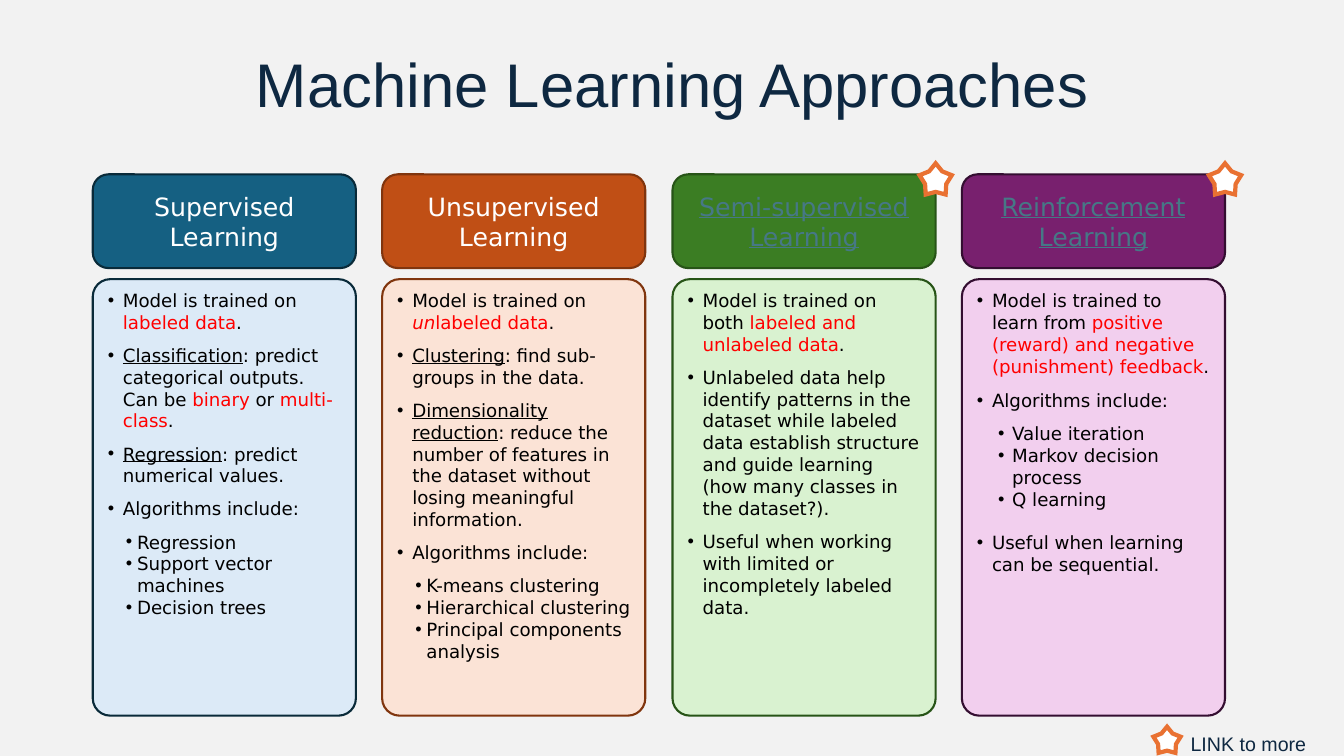
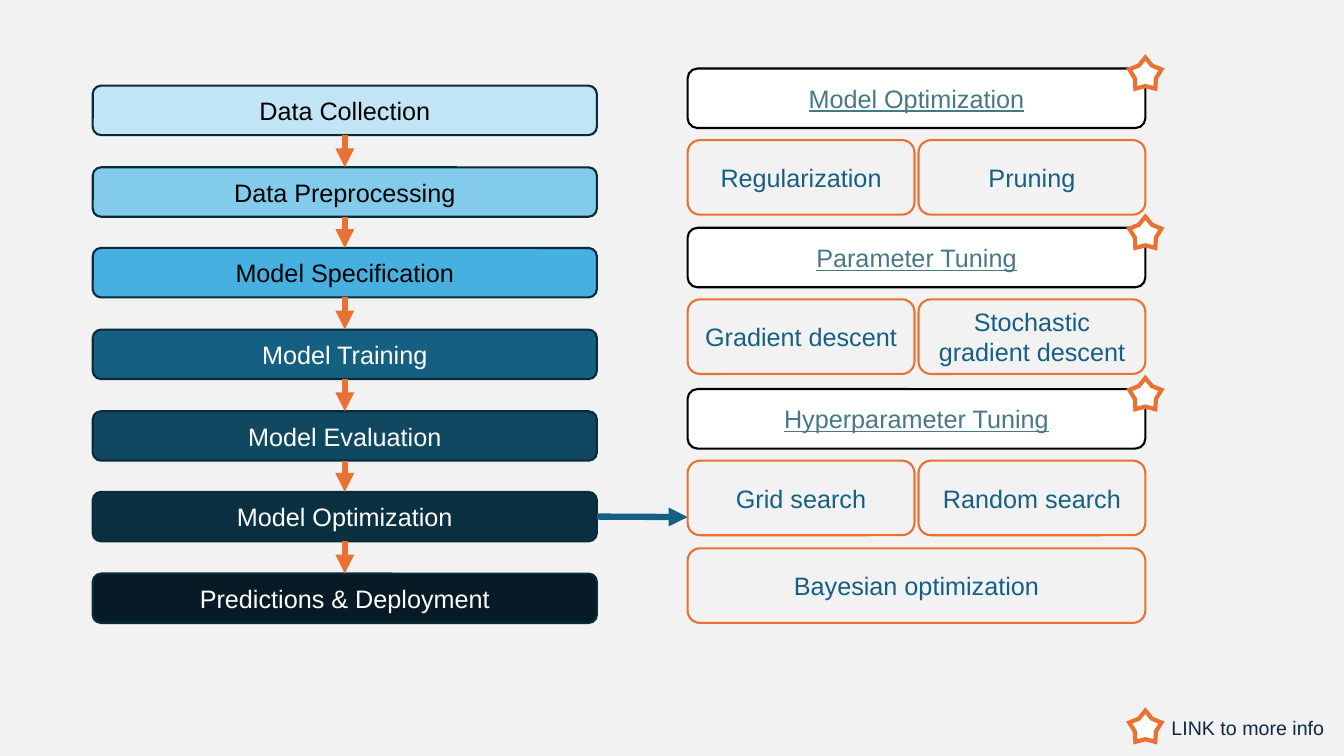
from dataclasses import dataclass
from typing import NamedTuple

from lxml.etree import SubElement
from pptx import Presentation
from pptx.dml.color import RGBColor
from pptx.enum.shapes import MSO_CONNECTOR, MSO_SHAPE
from pptx.enum.text import MSO_ANCHOR, PP_ALIGN
from pptx.oxml.ns import qn
from pptx.shapes.autoshape import Shape
from pptx.shapes.connector import Connector
from pptx.slide import Slide
from pptx.util import Pt

PX = 9144  # EMU in one px, 100 px to the inch

BLACK = RGBColor(0x00, 0x00, 0x00)
WHITE = RGBColor(0xFF, 0xFF, 0xFF)
GREY = RGBColor(0xF2, 0xF2, 0xF2)
NAVY = RGBColor(0x0E, 0x28, 0x41)
TEAL = RGBColor(0x15, 0x60, 0x82)
DEEP = RGBColor(0x09, 0x2A, 0x39)
LINK = RGBColor(0x46, 0x78, 0x86)
RED = RGBColor(0xFF, 0x00, 0x00)
ORANGE = RGBColor(0xE9, 0x71, 0x32)
RUST = RGBColor(0xC0, 0x4F, 0x15)
BROWN = RGBColor(0x80, 0x35, 0x0E)
GREEN = RGBColor(0x3B, 0x7D, 0x23)
MOSS = RGBColor(0x27, 0x54, 0x17)
PLUM = RGBColor(0x78, 0x20, 0x6E)
WINE = RGBColor(0x34, 0x0E, 0x31)
ICE = RGBColor(0xDC, 0xEA, 0xF7)
PEACH = RGBColor(0xFB, 0xE3, 0xD6)
MINT = RGBColor(0xD9, 0xF2, 0xD0)
PINK = RGBColor(0xF2, 0xCF, 0xEE)

SANS = "Arial"
WIDE = "DejaVu Sans"


class Box(NamedTuple):
    left: int
    top: int
    width: int
    height: int


class Span(NamedTuple):
    text: str
    color: RGBColor = BLACK
    under: bool = False
    slant: bool = False


class Item(NamedTuple):
    spans: list[Span]
    level: int = 0
    after: float = 8
    before: float = 0


@dataclass
class Column:
    head: str
    fill: RGBColor
    edge: RGBColor
    tint: RGBColor
    items: list[Item]
    linked: bool = False
    indent: int = 29
    hang: int = 11


class Step(NamedTuple):
    text: str
    fill: RGBColor
    color: RGBColor


class Topic(NamedTuple):
    head: str
    top: int
    chips: list[str]


def red(text: str) -> Span:
    return Span(text, RED)


def term(text: str) -> Span:
    return Span(text, under=True)


def point(*parts: str | Span, after: float = 8, before: float = 0) -> Item:
    spans = [Span(p) if isinstance(p, str) else p for p in parts]
    return Item(spans, 0, after, before)


def subs(*texts: str) -> list[Item]:
    return [Item([Span(text)], 1, 0) for text in texts]


COLUMNS = [
    Column("Supervised Learning", TEAL, DEEP, ICE, [
        point("Model is trained on ", red("labeled data"), "."),
        point(term("Classification"), ": predict categorical outputs. Can be ",
              red("binary"), " or ", red("multi-class"), "."),
        point(term("Regression"), ": predict numerical values."),
        point("Algorithms include:"),
        *subs("Regression", "Support vector machines", "Decision trees"),
    ]),
    Column("Unsupervised Learning", RUST, BROWN, PEACH, [
        point("Model is trained on ", Span("un", RED, slant=True),
              red("labeled data"), "."),
        point(term("Clustering"), ": find sub-groups in the data."),
        point(term("Dimensionality reduction"), ": reduce the number of features "
              "in the dataset without losing meaningful information."),
        point("Algorithms include:"),
        *subs("K-means clustering", "Hierarchical clustering",
              "Principal components analysis"),
    ]),
    Column("Semi-supervised Learning", GREEN, MOSS, MINT, [
        point("Model is trained on both ", red("labeled and unlabeled data"), "."),
        point("Unlabeled data help identify patterns in the dataset while labeled "
              "data establish structure and guide learning (how many classes in "
              "the dataset?)."),
        point("Useful when working with limited or incompletely labeled data."),
    ], linked=True),
    Column("Reinforcement Learning", PLUM, WINE, PINK, [
        point("Model is trained to learn from ",
              red("positive (reward) and negative (punishment) feedback"), ".",
              after=9),
        point("Algorithms include:"),
        *subs("Value iteration", "Markov decision process", "Q learning"),
        point("Useful when learning can be sequential.", after=0, before=15.5),
    ], linked=True, indent=35, hang=14),
]

STEPS = [
    Step("Data Collection", RGBColor(0xC1, 0xE5, 0xF5), BLACK),
    Step("Data Preprocessing", RGBColor(0x83, 0xCB, 0xEB), BLACK),
    Step("Model Specification", RGBColor(0x46, 0xB1, 0xE1), BLACK),
    Step("Model Training", TEAL, WHITE),
    Step("Model Evaluation", RGBColor(0x10, 0x48, 0x62), WHITE),
    Step("Model Optimization", RGBColor(0x0B, 0x30, 0x41), WHITE),
    Step("Predictions & Deployment", RGBColor(0x06, 0x1B, 0x25), WHITE),
]

TOPICS = [
    Topic("Model Optimization", 68, ["Regularization", "Pruning"]),
    Topic("Parameter Tuning", 226,
          ["Gradient descent", "Stochastic gradient descent"]),
    Topic("Hyperparameter Tuning", 386,
          ["Grid search", "Random search", "Bayesian optimization"]),
]


def scale(*sizes: int) -> list[int]:
    return [size * PX for size in sizes]


def shape(slide: Slide, kind: MSO_SHAPE, box: Box, fill: RGBColor,
          edge: RGBColor, weight: float = 1.5) -> Shape:
    item = slide.shapes.add_shape(kind, *scale(*box))
    item.shadow.inherit = False
    item.fill.solid()
    item.fill.fore_color.rgb = fill
    item.line.color.rgb = edge
    item.line.width = Pt(weight)
    return item


def write(item: Shape, text: str, size: int, color: RGBColor, name: str = SANS,
          under: bool = False, align: PP_ALIGN = PP_ALIGN.CENTER,
          anchor: MSO_ANCHOR = MSO_ANCHOR.MIDDLE) -> None:
    frame = item.text_frame
    frame.text = text
    frame.word_wrap = True
    frame.vertical_anchor = anchor
    frame.paragraphs[0].alignment = align
    font = frame.paragraphs[0].runs[0].font
    font.size, font.name, font.color.rgb = Pt(size), name, color
    if under:
        font.underline = True


def label(slide: Slide, box: Box, text: str, fill: RGBColor, edge: RGBColor,
          color: RGBColor, name: str = SANS, under: bool = False) -> Shape:
    """Draw a rounded box with a centred line of text."""
    item = shape(slide, MSO_SHAPE.ROUNDED_RECTANGLE, box, fill, edge)
    write(item, text, 18, color, name, under)
    return item


def star(slide: Slide, box: Box) -> None:
    item = shape(slide, MSO_SHAPE.STAR_5_POINT, box, WHITE, ORANGE, 3)
    item.adjustments[0] = 0.329
    line = item.element.spPr.find(qn("a:ln"))
    SubElement(line, qn("a:miter"), lim="800000")


def badge(slide: Slide, box: Box) -> None:
    """Put a star on the top right corner of a box."""
    star(slide, Box(box.left + box.width - 16, box.top - 11, 32, 31))


def legend(slide: Slide, mark: Box, width: int) -> None:
    star(slide, mark)
    note = slide.shapes.add_textbox(
        *scale(mark.left + mark.width, mark.top, width, 34))
    write(note, "LINK to more info", 14, NAVY, align=PP_ALIGN.LEFT,
          anchor=MSO_ANCHOR.TOP)


def arrow(slide: Slide, start: tuple[int, int], end: tuple[int, int],
          color: RGBColor) -> Connector:
    line = slide.shapes.add_connector(
        MSO_CONNECTOR.STRAIGHT, *scale(*start, *end))
    line.line.color.rgb = color
    line.line.width = Pt(4.5)
    props = line.element.spPr
    SubElement(props.find(qn("a:ln")), qn("a:tailEnd"), type="triangle")
    SubElement(props, qn("a:effectLst"))
    return line


def fill_list(card: Shape, col: Column) -> None:
    frame = card.text_frame
    frame.word_wrap = True
    frame.vertical_anchor = MSO_ANCHOR.TOP
    for i, item in enumerate(col.items):
        para = frame.add_paragraph() if i else frame.paragraphs[0]
        left, hang = (col.indent, col.hang) if item.level else (15, 15)
        props = para._p.get_or_add_pPr()
        props.set("marL", str(left * PX))
        props.set("indent", str(-hang * PX))
        SubElement(props, qn("a:buFont"), typeface=SANS)
        SubElement(props, qn("a:buChar"), char="•")
        para.level = item.level
        para.alignment = PP_ALIGN.LEFT
        para.space_after = Pt(item.after)
        if item.before:
            para.space_before = Pt(item.before)
        for span in item.spans:
            run = para.add_run()
            run.text = span.text
            font = run.font
            font.size, font.name, font.color.rgb = Pt(13), WIDE, span.color
            if span.under:
                font.underline = True
            if span.slant:
                font.italic = True


def draw_types(slide: Slide) -> None:
    title = slide.shapes.add_textbox(*scale(92, 40, 1150, 93))
    write(title, "Machine Learning Approaches", 44, NAVY)
    title.text_frame.paragraphs[0].line_spacing = 0.9
    for i, col in enumerate(COLUMNS):
        left = 92 + round(i * 862 / 3)
        head = Box(left, 173, 261, 93)
        label(slide, head, col.head, col.fill, col.edge,
              LINK if col.linked else WHITE, WIDE, col.linked)
        card = shape(slide, MSO_SHAPE.ROUNDED_RECTANGLE,
                     Box(left, 277, 261, 433), col.tint, col.edge)
        card.adjustments[0] = 0.066
        fill_list(card, col)
        if col.linked:
            badge(slide, head)
    legend(slide, Box(1144, 721, 27, 26), 147)


def draw_flow(slide: Slide) -> None:
    boxes = [Box(92, 85 + round(i * 484 / 6), 500, 49) for i in range(len(STEPS))]
    bars = [label(slide, box, step.text, step.fill, DEEP, step.color)
            for box, step in zip(boxes, STEPS)]
    for i in range(len(bars) - 1):
        line = arrow(slide, (342, boxes[i].top + 49), (342, boxes[i + 1].top),
                     ORANGE)
        line.begin_connect(bars[i], 2)
        line.end_connect(bars[i + 1], 0)
    line = arrow(slide, (592, 513), (682, 513), TEAL)
    line.begin_connect(bars[5], 3)

    for topic in TOPICS:
        head = Box(682, topic.top, 454, 59)
        label(slide, head, topic.head, WHITE, BLACK, LINK, under=True)
        for i, text in enumerate(topic.chips):
            row, side = divmod(i, 2)
            box = Box(682 + side * 229, topic.top + 71 + row * 87,
                      454 if row else 225, 74)
            label(slide, box, text, GREY, ORANGE, TEAL)
        badge(slide, head)
    legend(slide, Box(1120, 705, 32, 31), 173)


def main() -> None:
    deck = Presentation()
    deck.slide_width, deck.slide_height = scale(1333, 750)
    back = deck.slide_master.background.fill
    back.solid()
    back.fore_color.rgb = GREY
    for draw in (draw_types, draw_flow):
        draw(deck.slides.add_slide(deck.slide_layouts[6]))
    deck.save("out.pptx")


if __name__ == "__main__":
    main()
